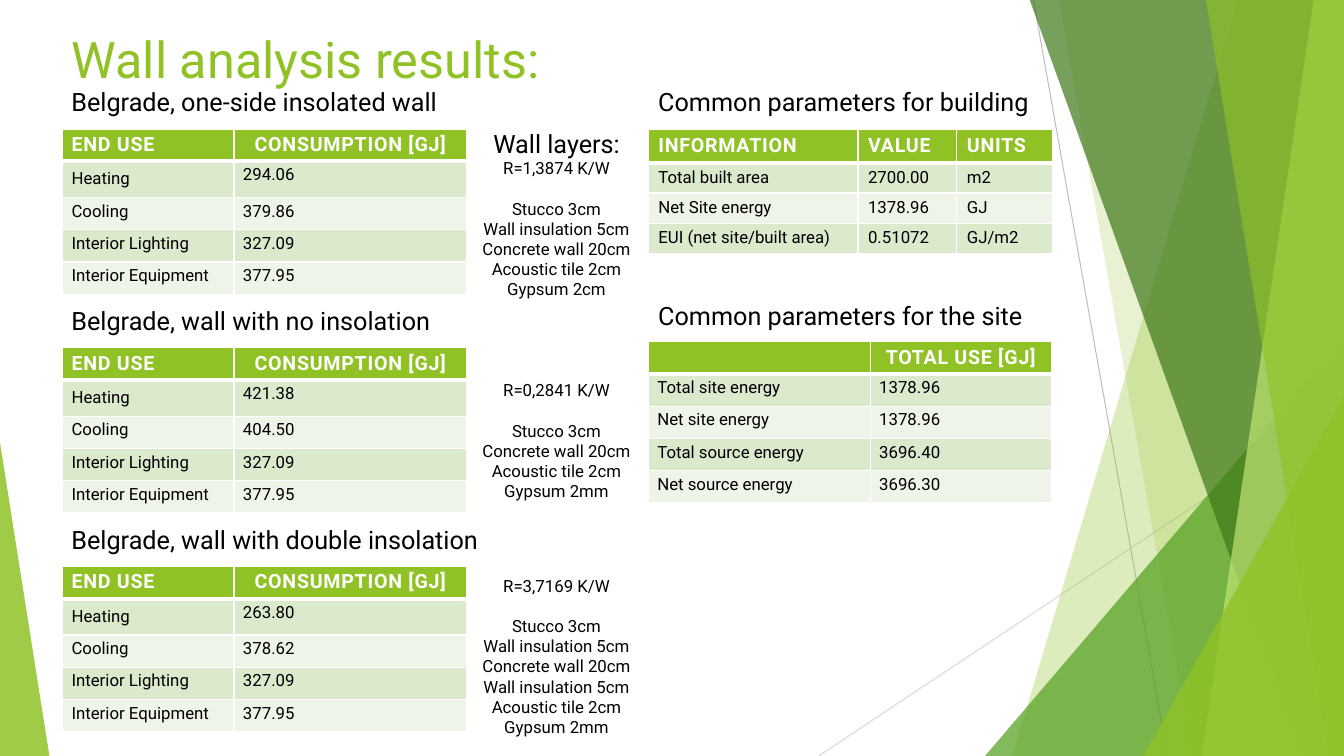
import pptx
import pptx.dml.color
import pptx.enum.shapes
import pptx.enum.text
import pptx.oxml
import pptx.oxml.ns
import pptx.util
from pptx.util import Inches

FONT = "Roboto"
GREEN = "90C226"
WHITE = "FFFFFF"
BLACK = "000000"
BANDS = ("DBE9CD", "EEF4E8")
NAMESPACE = pptx.oxml.ns.nsdecls("a")
CENTER = pptx.enum.text.PP_ALIGN.CENTER
LEFT = pptx.enum.text.PP_ALIGN.LEFT

END_USES = ("Heating", "Cooling", "Interior Lighting", "Interior Equipment")
STUCCO, INSULATION, CONCRETE, TILE = (
    "Stucco 3cm", "Wall insulation 5cm", "Concrete wall 20cm", "Acoustic tile 2cm")
WALLS = [
    ("Belgrade, one-side insolated wall", ("294.06", "379.86", "327.09", "377.95"), 1.22,
     ["Wall layers:", "R=1,3874 K/W", STUCCO, INSULATION, CONCRETE, TILE, "Gypsum 2cm"]),
    ("Belgrade, wall with no insolation", ("421.38", "404.50", "327.09", "377.95"), 3.72,
     ["R=0,2841 K/W", STUCCO, CONCRETE, TILE, "Gypsum 2mm"]),
    ("Belgrade, wall with double insolation", ("263.80", "378.62", "327.09", "377.95"), 5.66,
     ["R=3,7169 K/W", STUCCO, INSULATION, CONCRETE, INSULATION, TILE, "Gypsum 2mm"]),
]
BUILDING = [
    ("INFORMATION", "VALUE", "UNITS"),
    ("Total built area", "2700.00", "m2"),
    ("Net Site energy", "1378.96", "GJ"),
    ("EUI (net site/built area)", "0.51072", "GJ/m2"),
]
SITE = [
    ("", "TOTAL USE [GJ]"),
    ("Total site energy", "1378.96"),
    ("Net site energy", "1378.96"),
    ("Total source energy", "3696.40"),
    ("Net source energy", "3696.30"),
]


def rgb(color):
    return pptx.dml.color.RGBColor.from_string(color)


def style_text(para, size, color=BLACK, bold=False, align=LEFT):
    para.alignment = align
    para.font.name = FONT
    para.font.size = pptx.util.Pt(size)
    para.font.bold = bold
    para.font.color.rgb = rgb(color)


def paint(shape, color, opacity):
    shape.shadow.inherit = False
    shape.line.fill.background()
    shape.fill.solid()
    shape.fill.fore_color.rgb = rgb(color)
    solid = shape.fill._xPr.find(pptx.oxml.ns.qn("a:solidFill"))
    solid[0].append(pptx.oxml.parse_xml(f'<a:alpha {NAMESPACE} val="{opacity * 1000}"/>'))


def add_ray(slide, start, end, color):
    ray = slide.shapes.add_connector(
        pptx.enum.shapes.MSO_CONNECTOR.STRAIGHT, *map(Inches, start + end))
    ray.line.color.rgb = rgb(color)
    ray.line.width = pptx.util.Pt(0.75)
    ray._element.spPr.append(pptx.oxml.parse_xml(f"<a:effectLst {NAMESPACE}/>"))


def add_facet(slide, top_x, bottom_x, color, opacity):
    corners = [(top_x, -0.01), (13.33, -0.01), (13.33, 7.5), (bottom_x, 7.5)]
    points = [(Inches(x), Inches(y)) for x, y in corners]
    builder = slide.shapes.build_freeform(*points[0])
    builder.add_line_segments(points[1:], close=True)
    paint(builder.convert_to_shape(), color, opacity)


def add_triangle(slide, left, top, width, apex, color, opacity):
    triangle = slide.shapes.add_shape(
        pptx.enum.shapes.MSO_SHAPE.ISOSCELES_TRIANGLE,
        Inches(left), Inches(top), Inches(width), Inches(7.5 - top))
    triangle.adjustments[0] = apex
    paint(triangle, color, opacity)


def add_background(slide):
    add_ray(slide, (10.25, 0), (11.58, 7.5), "BFBFBF")
    add_ray(slide, (13.33, 4.03), (8.12, 7.5), "D9D9D9")
    add_facet(slide, 12.28, 10.04, GREEN, 30)
    add_facet(slide, 10.5, 11.83, GREEN, 20)
    add_triangle(slide, 9.77, 3.33, 3.56, 1, "54A021", 72)
    add_facet(slide, 10.21, 12.91, "3F7819", 70)
    add_facet(slide, 13.03, 11.92, "C0E474", 70)
    add_facet(slide, 11.96, 13.18, GREEN, 65)
    add_triangle(slide, 11.34, 3.93, 1.99, 1, GREEN, 80)
    add_triangle(slide, 0, 4.39, 0.49, 0, GREEN, 85)


def set_title(slide, text):
    title = slide.shapes.title
    title.left, title.top, title.width, title.height = map(Inches, (0.61, 0.2, 9.4, 0.75))
    frame = title.text_frame
    frame.text = text
    frame.auto_size = pptx.enum.text.MSO_AUTO_SIZE.NONE
    frame.vertical_anchor = pptx.enum.text.MSO_ANCHOR.MIDDLE
    style_text(frame.paragraphs[0], 36, GREEN)


def add_text(slide, left, top, width, height, lines, align=LEFT):
    box = slide.shapes.add_textbox(*map(Inches, (left, top, width, height)))
    frame = box.text_frame
    frame.word_wrap = True
    frame.auto_size = pptx.enum.text.MSO_AUTO_SIZE.SHAPE_TO_FIT_TEXT
    frame.text = "\n".join(text for text, size in lines)
    for para, (text, size) in zip(frame.paragraphs, lines):
        style_text(para, size, align=align)
        if text.startswith("R="):
            para.space_after = pptx.util.Pt(14.4)


def add_heading(slide, left, top, text):
    add_text(slide, left, top, 4.55, 0.4, [(text, 18)])


def add_wall_layers(slide, top, layers):
    lines = [(text, 18 if text == "Wall layers:" else 12) for text in layers]
    height = 0.1 + 0.2 * (len(layers) + 1)
    add_text(slide, 4.61, top, 1.82, height, lines, CENTER)


def format_header(cell, align):
    para = cell.text_frame.paragraphs[0]
    style_text(para, 14, "FEFEFE", True, align)
    outline = (f'<a:ln {NAMESPACE} w="9525"><a:solidFill><a:srgbClr val="{GREEN}"/>'
               "</a:solidFill></a:ln>")
    for span in para.runs:
        properties = span._r.get_or_add_rPr()
        properties.set("spc", "50")
        properties.insert(0, pptx.oxml.parse_xml(outline))
    borders = (("lnL", 1), ("lnR", 1), ("lnT", 1), ("lnB", 3))
    for position, (side, width) in enumerate(borders):
        cell._tc.get_or_add_tcPr().insert(position, pptx.oxml.parse_xml(
            f'<a:{side} {NAMESPACE} w="{width * 12700}"><a:solidFill>'
            f'<a:srgbClr val="{WHITE}"/></a:solidFill></a:{side}>'))


def add_data_table(slide, left, top, widths, heights, rows, inset=(0.09, 0.04)):
    frame = slide.shapes.add_table(
        len(rows), len(widths), Inches(left), Inches(top),
        Inches(sum(widths)), Inches(sum(heights)))
    table = frame.table
    for column, width in zip(table.columns, widths):
        column.width = Inches(width)
    for row, height in zip(table.rows, heights):
        row.height = Inches(height)
    for row_index, values in enumerate(rows):
        for column_index, value in enumerate(values):
            cell = table.cell(row_index, column_index)
            cell.text = value
            cell.margin_left = cell.margin_right = Inches(inset[0])
            cell.margin_top = cell.margin_bottom = Inches(inset[1])
            cell.fill.solid()
            if row_index == 0:
                cell.fill.fore_color.rgb = rgb(GREEN)
                centered = len(widths) == 2 and column_index == 1
                format_header(cell, CENTER if centered else LEFT)
            else:
                cell.fill.fore_color.rgb = rgb(BANDS[(row_index - 1) % 2])
                style_text(cell.text_frame.paragraphs[0], 12)
    return table


def add_wall(slide, top, heading, consumption, layers_top, layers):
    add_heading(slide, 0.61, top - 0.47, heading)
    rows = [("END USE", "CONSUMPTION [GJ]"), *zip(END_USES, consumption)]
    table = add_data_table(slide, 0.62, top, (1.7, 2.31), (0.32, 0.36, 0.32, 0.32, 0.32), rows)
    table.cell(1, 0).margin_top = Inches(0.08)
    add_wall_layers(slide, layers_top, layers)


def main():
    deck = pptx.Presentation()
    deck.slide_width, deck.slide_height = Inches(13.33), Inches(7.5)
    slide = deck.slides.add_slide(deck.slide_layouts[5])
    add_background(slide)
    set_title(slide, "Wall analysis results:")
    for index, wall in enumerate(WALLS):
        add_wall(slide, 1.28 + 2.17 * index, *wall)
    add_heading(slide, 6.43, 0.81, "Common parameters for building")
    add_data_table(slide, 6.43, 1.28, (2.08, 0.98, 0.95), (0.33, 0.3, 0.3, 0.3),
                   BUILDING, (0.1, 0.05))
    add_heading(slide, 6.43, 2.93, "Common parameters for the site")
    add_data_table(slide, 6.43, 3.39, (2.2, 1.8), (0.32,) * 5, SITE)
    deck.save("out.pptx")


if __name__ == "__main__":
    main()
